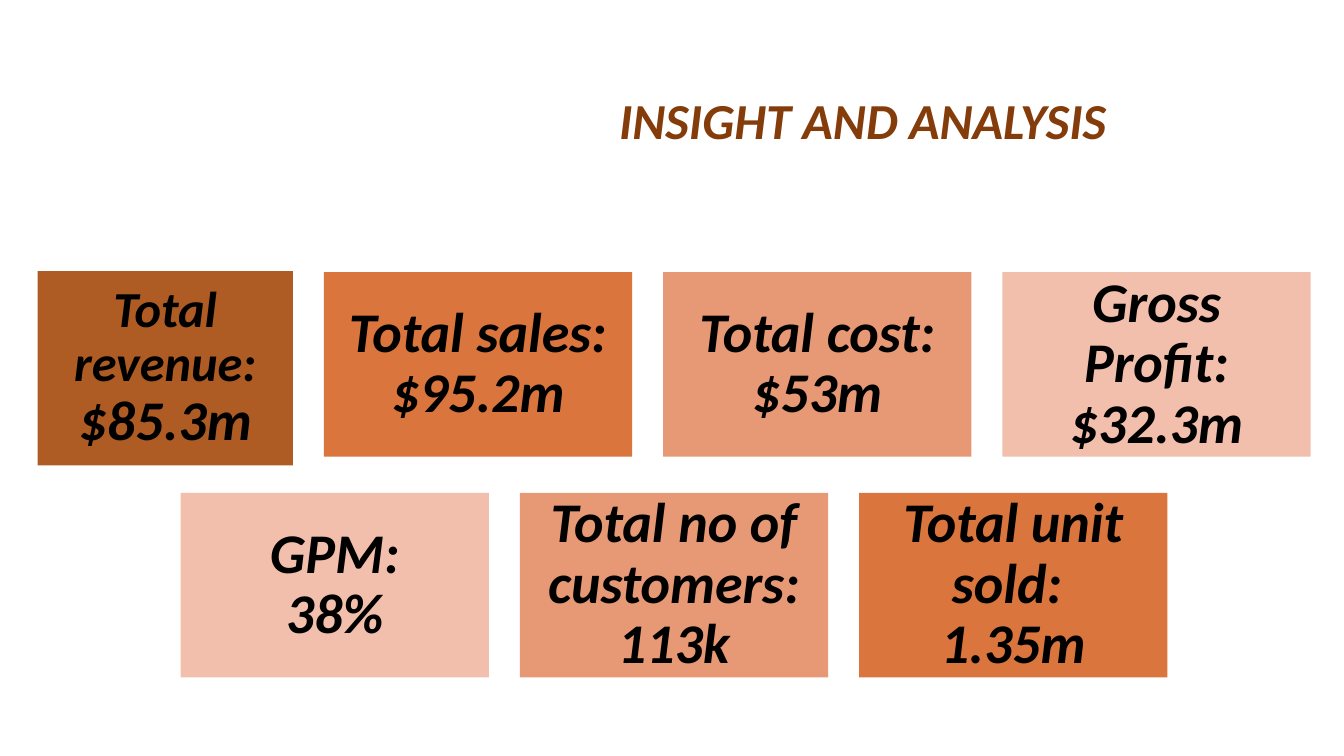
from dataclasses import dataclass

from pptx import Presentation
from pptx.dml.color import RGBColor as Color
from pptx.enum.shapes import MSO_SHAPE as Shape
from pptx.enum.text import MSO_ANCHOR as Anchor, MSO_AUTO_SIZE as AutoSize, PP_ALIGN as Align
from pptx.util import Cm, Pt


@dataclass(frozen=True)
class Theme:
    font: str = "Calibri"
    title_color: str = "843C0B"
    text_color: str = "000000"
    brown: str = "AF5C24"
    orange: str = "DA753D"
    salmon: str = "E79875"
    pink: str = "F2BFAD"
    title_size: int = 36
    label_size: int = 36
    value_size: int = 40
    line_spacing: float = 0.9


class MetricSlide:
    def __init__(self, deck, theme):
        self.theme = theme
        self.slide = deck.slides.add_slide(deck.slide_layouts[5])

    def style(self, frame, align, sizes, color):
        frame.word_wrap = True
        frame.auto_size = AutoSize.NONE
        frame.vertical_anchor = Anchor.MIDDLE
        para = frame.paragraphs[0]
        para.alignment = align
        para.line_spacing = self.theme.line_spacing
        for span, size in zip(para.runs, sizes):
            span.font.name = self.theme.font
            span.font.size = Pt(size)
            span.font.bold = span.font.italic = True
            span.font.color.rgb = Color.from_string(color)

    def title(self, text, left, top, width, height):
        box = self.slide.shapes.title
        box.left, box.top, box.width, box.height = map(Cm, (left, top, width, height))
        box.text_frame.text = text
        self.style(box.text_frame, Align.RIGHT, [self.theme.title_size], self.theme.title_color)

    def card(self, label, value, fill, place, inset=0.43, label_size=None):
        box = self.slide.shapes.add_shape(Shape.RECTANGLE, *map(Cm, place))
        box.shadow.inherit = False
        box.fill.solid()
        box.fill.fore_color.rgb = Color.from_string(fill)
        box.line.fill.background()
        frame = box.text_frame
        frame.margin_left = frame.margin_right = Cm(inset)
        frame.margin_top = frame.margin_bottom = Cm(inset)
        frame.paragraphs[0].text = f"{label}\v{value}"
        sizes = [label_size or self.theme.value_size, self.theme.value_size]
        self.style(frame, Align.CENTER, sizes, self.theme.text_color)

    def card_row(self, cards, left, top, width=7.77, height=4.65, step=8.55):
        for column, (label, value, fill) in enumerate(cards):
            self.card(label, value, fill, (left + column * step, top, width, height))


def main():
    deck = Presentation()
    deck.slide_width, deck.slide_height = Cm(33.87), Cm(19.05)
    theme = Theme()
    page = MetricSlide(deck, theme)
    page.title("INSIGHT AND ANALYSIS", 15.16, 2.39, 12.98, 1.42)
    page.card("Total revenue:", "$85.3m", theme.brown, (0.95, 6.83, 6.43, 4.9),
              inset=0.38, label_size=theme.label_size)
    page.card_row([
        ("Total sales:", "$95.2m", theme.orange),
        ("Total cost:", "$53m", theme.salmon),
        ("Gross Profit:", "$32.3m", theme.pink),
    ], left=8.16, top=6.86)
    page.card_row([
        ("GPM:", "38%", theme.pink),
        ("Total no of customers:", "113k", theme.salmon),
        ("Total unit sold: ", "1.35m", theme.orange),
    ], left=4.55, top=12.42)
    deck.save("out.pptx")


if __name__ == "__main__":
    main()
